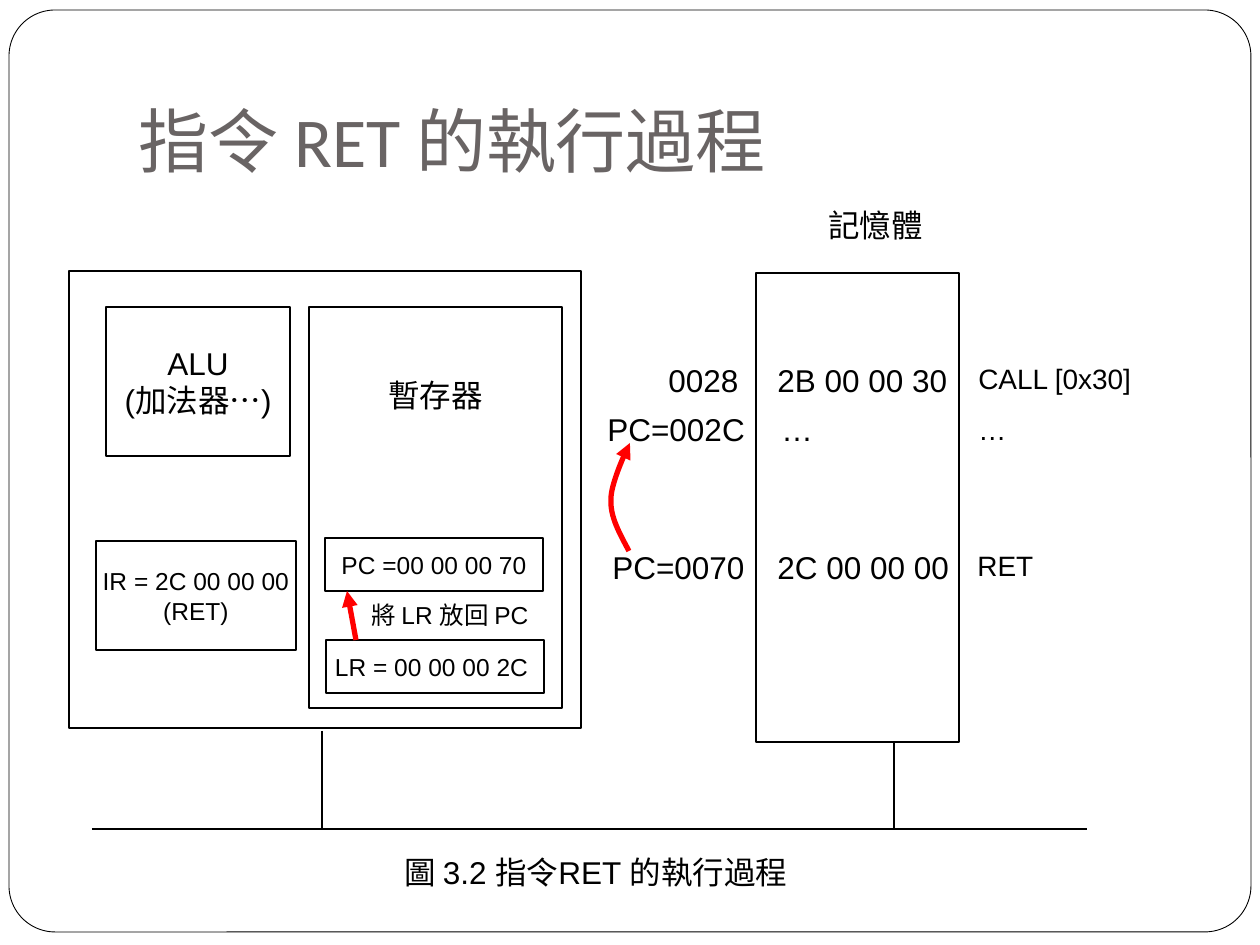
"""Build the slide on how the RET instruction runs."""
from lxml.etree import SubElement
from pptx import Presentation
from pptx.dml.color import RGBColor
from pptx.enum.shapes import MSO_CONNECTOR, MSO_SHAPE
from pptx.enum.text import MSO_ANCHOR, MSO_AUTO_SIZE, PP_ALIGN
from pptx.oxml.ns import qn
from pptx.util import Pt

PX = 914400 / 126
HEX = {"ink": "000000", "title": "696464", "paper": "FFFFFF", "move": "FF0000"}
TITLE = "指令 RET 的執行過程"
FRAME = (9, 10, 1242, 922)
BOXES = [
    ("", 0, (756, 273, 203, 469)),
    ("", 0, (69, 271, 512, 457)),
    ("ALU\n(加法器…)", 18, (106, 307, 184, 149)),
    ("暫存器", 18, (309, 307, 253, 401)),
    ("IR = 2C 00 00 00\n(RET)", 14, (96, 541, 200, 109)),
    ("PC =00 00 00 70", 14, (325, 538, 218, 53)),
    ("LR = 00 00 00 2C ", 14, (326, 640, 218, 53)),
]
TOPS = {"暫存器": 69}
ROWS = [355, 404, 542]
NOTES = [
    ("記憶體", 18, (816, 200, 140, 50)),
    ("0028", 18, (656, ROWS[0], 115, 50)),
    ("PC=002C", 18, (595, ROWS[1], 182, 50)),
    ("PC=0070", 18, (600, ROWS[2], 178, 50)),
    ("2B 00 00 30", 18, (765, ROWS[0], 215, 50)),
    ("…", 18, (769, ROWS[1], 77, 50)),
    ("2C 00 00 00", 18, (765, ROWS[2], 216, 50)),
    ("CALL [0x30]", 16, (966, ROWS[0], 199, 47)),
    ("…", 16, (966, ROWS[1] + 2, 234, 47)),
    ("RET", 16, (965, ROWS[2], 234, 47)),
    ("將 LR 放回 PC", 14, (359, 594, 219, 43)),
    ("圖 3.2 指令RET 的執行過程", 18, (392, 847, 468, 50)),
]
BUS = 829
LINES = [(92, BUS, 1087, BUS), (322, 731, 322, BUS), (894, 743, 894, BUS)]
LOAD = (356, 640, 347, 591)
CURVES = [
    [(629, 551), (620, 534), (610, 517), (611, 499)],
    [(611, 499), (611, 481), (630, 443), (630, 443)],
]
STEPS = 16


def emu(vals):
    return [round(v * PX) for v in vals]


def tint(name):
    return RGBColor.from_string(HEX[name])


def ink(line, name, width):
    line.color.rgb = tint(name)
    line.width = Pt(width)


def head(shape):
    SubElement(shape.line._get_or_add_ln(), qn("a:tailEnd"), type="triangle")


def write(frame, text, size, align, font="Arial", color="ink"):
    frame.text = text
    for para in frame.paragraphs:
        para.alignment = align
        para.font.size = Pt(size)
        para.font.name = font
        para.font.color.rgb = tint(color)


def add_box(shapes, area, width=0.75, kind=MSO_SHAPE.RECTANGLE):
    box = shapes.add_shape(kind, *emu(area))
    box.shadow.inherit = False
    box.fill.background()
    ink(box.line, "ink", width)
    return box


def add_line(shapes, ends, name="ink", width=0.75):
    line = shapes.add_connector(MSO_CONNECTOR.STRAIGHT, *emu(ends))
    SubElement(line.element.spPr, qn("a:effectLst"))
    ink(line.line, name, width)
    return line


def bend(curve):
    for i in range(1, STEPS + 1):
        t = i / STEPS
        s = 1 - t
        parts = (s**3, 3 * s * s * t, 3 * s * t * t, t**3)
        yield tuple(sum(w * v for w, v in zip(parts, axis)) for axis in zip(*curve))


def add_curve(shapes):
    pen = shapes.build_freeform(*emu(CURVES[0][0]))
    pen.add_line_segments([emu(p) for c in CURVES for p in bend(c)], close=False)
    arc = pen.convert_to_shape()
    arc.shadow.inherit = False
    arc.fill.background()
    ink(arc.line, "move", 3)
    head(arc)


def add_title(shapes):
    title = shapes.title
    title.left, title.top, title.width, title.height = emu((126, 38, 1071, 157))
    frame = title.text_frame
    frame.auto_size = MSO_AUTO_SIZE.NONE
    frame.vertical_anchor = MSO_ANCHOR.BOTTOM
    frame.margin_bottom = round(13 * PX)
    write(frame, TITLE, 40, PP_ALIGN.LEFT, "Calibri", "title")
    frame.paragraphs[0].line_spacing = 1.5
    shapes.element.append(title.element)


def main():
    deck = Presentation()
    deck.slide_width, deck.slide_height = emu((1260, 945))
    shapes = deck.slides.add_slide(deck.slide_layouts[5]).shapes
    card = add_box(shapes, FRAME, 0.5, MSO_SHAPE.ROUNDED_RECTANGLE)
    card.adjustments[0] = 0.05
    card.fill.solid()
    card.fill.fore_color.rgb = tint("paper")
    add_title(shapes)
    for text, size, area in BOXES:
        frame = add_box(shapes, area).text_frame
        if text:
            frame.word_wrap = False
            frame.vertical_anchor = MSO_ANCHOR.MIDDLE
            write(frame, text, size, PP_ALIGN.CENTER)
        if text in TOPS:
            frame.vertical_anchor = MSO_ANCHOR.TOP
            frame.margin_top = round(TOPS[text] * PX)
    for ends in LINES:
        add_line(shapes, ends)
    head(add_line(shapes, LOAD, "move", 3))
    add_curve(shapes)
    for text, size, area in NOTES:
        frame = shapes.add_textbox(*emu(area)).text_frame
        frame.word_wrap = True
        frame.auto_size = MSO_AUTO_SIZE.NONE
        write(frame, text, size, PP_ALIGN.LEFT)
    deck.save("out.pptx")


if __name__ == "__main__":
    main()
